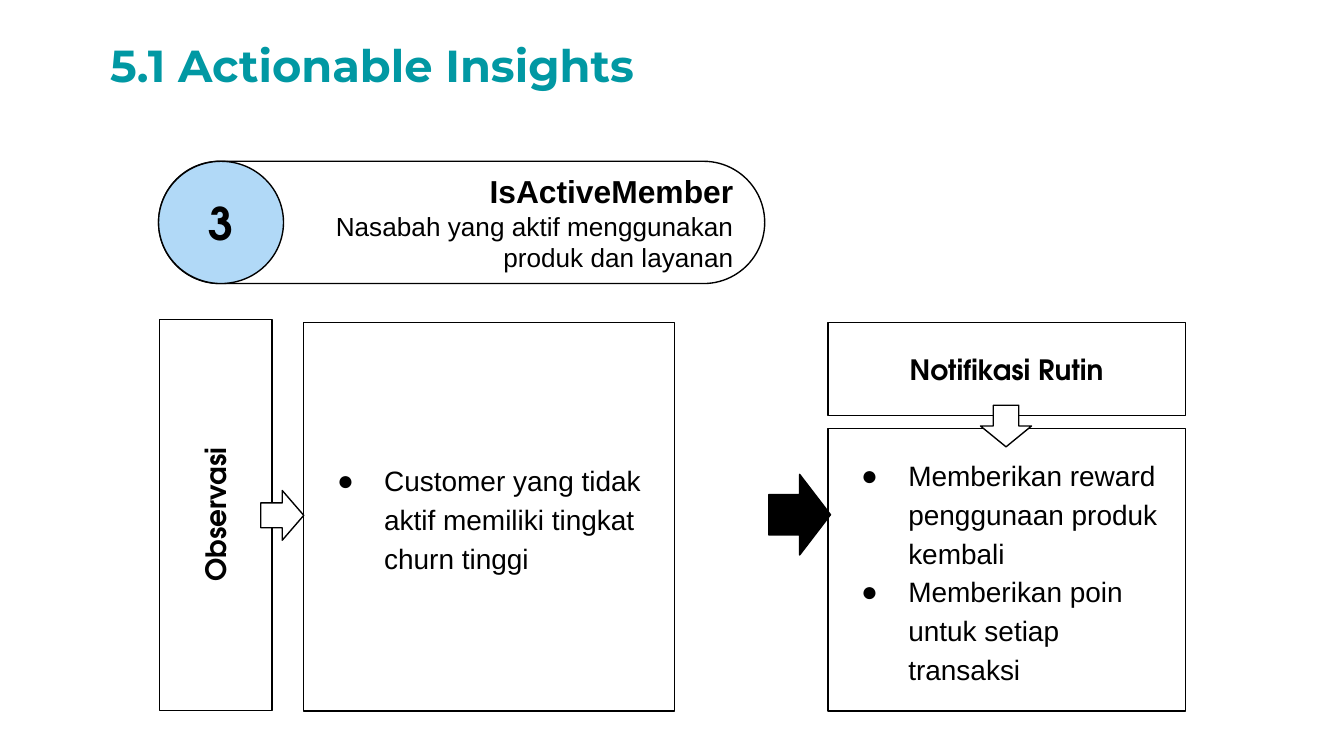
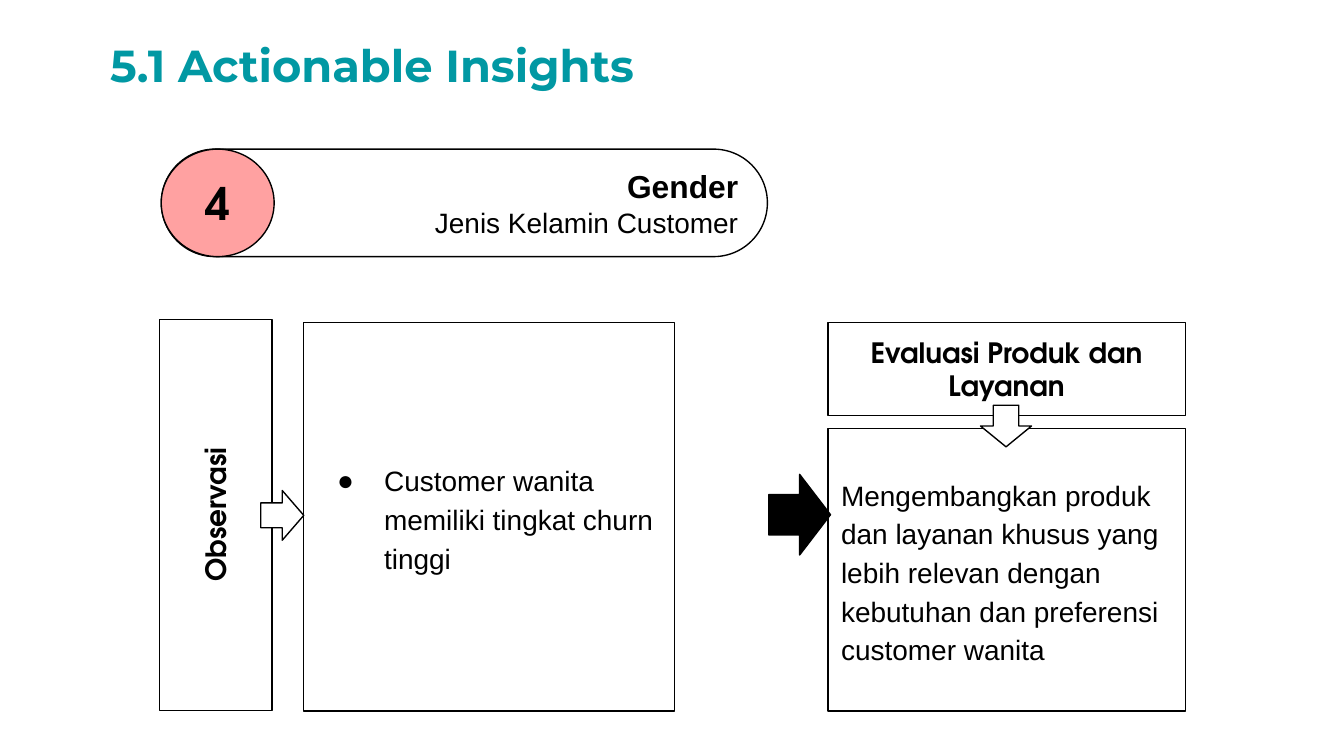
"""Build two actionable insight slides, each leading from an observation to an action."""
from lxml import etree
from pptx import Presentation
from pptx import util as u
from pptx.dml.color import RGBColor
from pptx.enum import shapes, text
from pptx.oxml import ns

BLACK = RGBColor(0x00, 0x00, 0x00)
WHITE = RGBColor(0xFF, 0xFF, 0xFF)
TEAL = RGBColor(0x01, 0x98, 0xA3)
SKY = RGBColor(0xB1, 0xD9, 0xF7)
CORAL = RGBColor(0xFF, 0xA1, 0xA1)

KIND = shapes.MSO_SHAPE
LEFT, CENTER, RIGHT = text.PP_ALIGN.LEFT, text.PP_ALIGN.CENTER, text.PP_ALIGN.RIGHT
MARGINS = ("margin_left", "margin_top", "margin_right", "margin_bottom")

TITLE = {"name": "Montserrat", "size": u.Pt(24), "bold": True, "color": TEAL}
NUMBER = {"name": "TeX Gyre Adventor", "size": u.Pt(24), "bold": True}
LABEL = {**NUMBER, "size": u.Pt(15)}
FEATURE = {"name": "Arial", "size": u.Pt(17), "bold": True}
BODY = {"name": "Arial", "size": u.Pt(15), "bold": False}
SMALL = {**BODY, "size": u.Pt(14)}

INSIGHTS = [
    {
        "number": "3", "color": SKY, "pill": (1.18, 1.2, 4.51, 0.91), "circle": 0.93,
        "feature": [("IsActiveMember", FEATURE),
                    ("Nasabah yang aktif menggunakan", SMALL),
                    ("produk dan layanan", SMALL)],
        "observation": "Customer yang tidak aktif memiliki tingkat churn tinggi",
        "action": "Notifikasi Rutin",
        "steps": ["Memberikan reward penggunaan produk kembali",
                  "Memberikan poin untuk setiap transaksi"],
        "bullets": True,
    },
    {
        "number": "4", "color": CORAL, "pill": (1.2, 1.11, 4.51, 0.8), "circle": 0.84,
        "feature": [("Gender", FEATURE), ("Jenis Kelamin Customer", BODY)],
        "observation": "Customer wanita memiliki tingkat churn tinggi",
        "action": "Evaluasi Produk dan Layanan",
        "steps": ["Mengembangkan produk dan layanan khusus yang lebih relevan "
                  "dengan kebutuhan dan preferensi customer wanita"],
        "bullets": False,
    },
]


def write(box, lines, align=LEFT, spacing=None, bullets=False):
    """Write (wording, format) lines into a box, one paragraph each."""
    frame = box.text_frame
    frame.word_wrap = True
    for index, (wording, style) in enumerate(lines):
        para = frame.add_paragraph() if index else frame.paragraphs[0]
        para.alignment = align
        if spacing:
            para.line_spacing = spacing
        if bullets:
            props = para._p.get_or_add_pPr()
            props.set("marL", str(u.Inches(0.5)))
            props.set("indent", str(u.Inches(-0.35)))
            color = etree.SubElement(props, ns.qn("a:buClr"))
            etree.SubElement(color, ns.qn("a:srgbClr"), val=str(BLACK))
            etree.SubElement(props, ns.qn("a:buFont"), typeface=style["name"])
            etree.SubElement(props, ns.qn("a:buChar"), char="●")
        span = para.add_run()
        span.text = wording
        span.font.color.rgb = style.get("color", BLACK)
        for key in ("name", "size", "bold"):
            setattr(span.font, key, style[key])


def add_box(page, kind, place, fill=WHITE, rotation=0):
    """Add an outlined shape with even margins and middle anchoring."""
    box = page.shapes.add_shape(kind, *map(u.Inches, place))
    box.shadow.inherit = False
    box.rotation = rotation
    box.fill.solid()
    box.fill.fore_color.rgb = fill
    box.line.color.rgb = BLACK
    box.line.width = u.Pt(0.75)
    box.text_frame.vertical_anchor = text.MSO_ANCHOR.MIDDLE
    for margin in MARGINS:
        setattr(box.text_frame, margin, u.Inches(0.1))
    return box


deck = Presentation()
deck.slide_width = u.Inches(10)
deck.slide_height = deck.slide_width * 9 // 16

for insight in INSIGHTS:
    page = deck.slides.add_slide(deck.slide_layouts[6])

    title = page.shapes.add_textbox(*map(u.Inches, (0.75, 0.23, 8.51, 0.48)))
    for margin, inset in zip(MARGINS, (0.07, 0.04) * 2):
        setattr(title.text_frame, margin, u.Inches(inset))
    title.text_frame.auto_size = text.MSO_AUTO_SIZE.SHAPE_TO_FIT_TEXT
    write(title, [("5.1 Actionable Insights", TITLE)], spacing=1.03)

    left, top, width, height = insight["pill"]
    pill = add_box(page, KIND.ROUNDED_RECTANGLE, insight["pill"])
    pill.adjustments[0] = 0.5
    write(pill, insight["feature"], RIGHT)
    circle = add_box(page, KIND.OVAL, (left, top, insight["circle"], height), insight["color"])
    write(circle, [(insight["number"], NUMBER)], CENTER)

    heading = add_box(page, KIND.RECTANGLE, (0.15, 3.41, 2.91, 0.84), rotation=270)
    write(heading, [("Observasi", LABEL)], CENTER)
    observation = add_box(page, KIND.RECTANGLE, (2.26, 2.4, 2.76, 2.89))
    write(observation, [(insight["observation"], BODY)], spacing=1.15, bullets=True)
    add_box(page, KIND.RIGHT_ARROW, (1.94, 3.65, 0.32, 0.37))

    steps = add_box(page, KIND.RECTANGLE, (6.16, 3.19, 2.66, 2.1))
    write(steps, [(step, BODY) for step in insight["steps"]],
          spacing=1.15, bullets=insight["bullets"])
    add_box(page, KIND.RIGHT_ARROW, (5.72, 3.53, 0.46, 0.6), BLACK)
    action = add_box(page, KIND.RECTANGLE, (6.16, 2.4, 2.66, 0.69))
    write(action, [(insight["action"], LABEL)], CENTER)
    add_box(page, KIND.RIGHT_ARROW, (7.33, 2.98, 0.31, 0.38), rotation=90)

deck.save("out.pptx")
